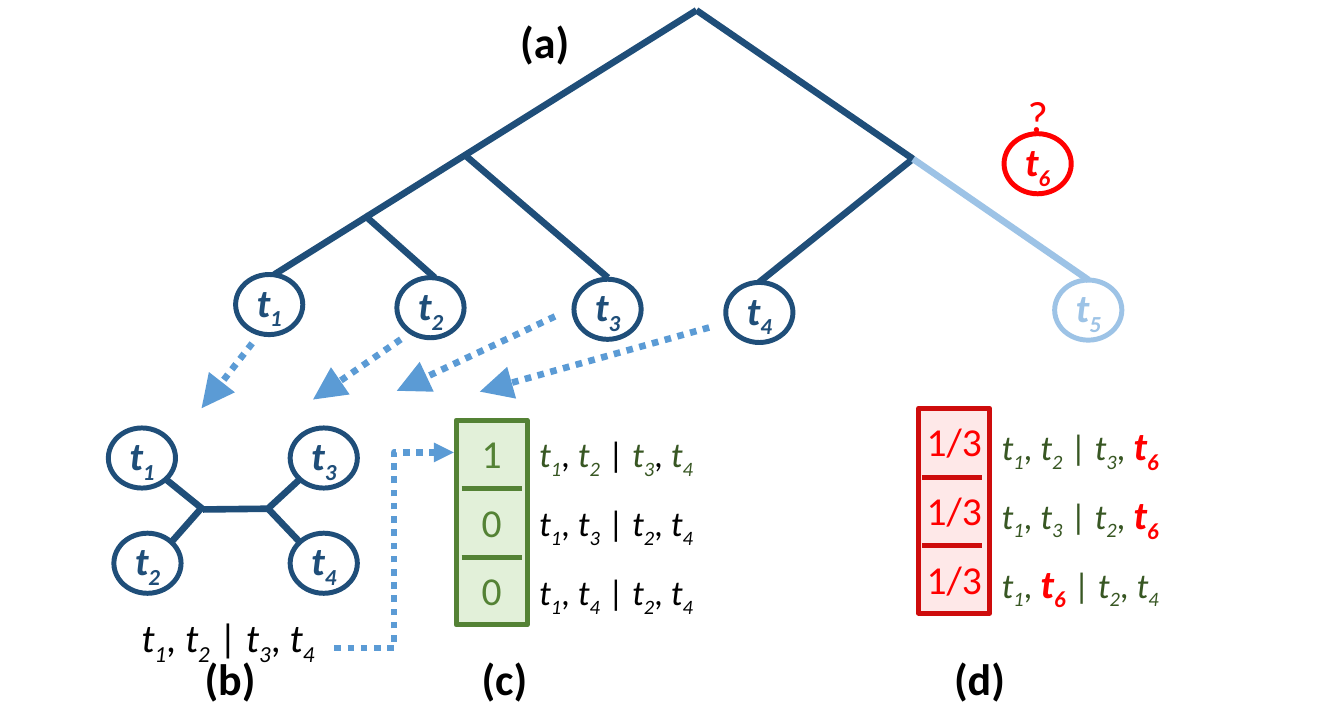
from itertools import groupby

from lxml.etree import SubElement
from pptx import Presentation
from pptx.dml.color import RGBColor
from pptx.enum.dml import MSO_LINE
from pptx.enum.shapes import MSO_CONNECTOR, MSO_SHAPE
from pptx.enum.text import MSO_ANCHOR, PP_ALIGN
from pptx.oxml.ns import qn
from pptx.util import Inches, Pt

COLUMNS, ROWS = 17, 9
CELL = Inches(1)
FONT = "Calibri"
COLORS = {
    "navy": "1F4E79", "pale": "9DC3E6", "blue": "5B9BD5", "black": "000000",
    "red": "FF0000", "crimson": "CE0C0C", "pink": "FEE8E8",
    "green": "548235", "mint": "E2F0D9", "forest": "385723",
}
LEAF_SIZE = (0.85, 0.76)
BAR_SIZE = (0.9, 2.59)
BAR_STEP = 0.87
TEXT_HEIGHT = 0.71
CAPTION_WIDTH = 1.2


def rgb(name):
    return RGBColor.from_string(COLORS[name])


def grid(*cells):
    return [round(cell * CELL) for cell in cells]


def shifted(box, point):
    return box[0] + point[0], box[1] + point[1]


def write(shape, text, size=36, color="black", bold=False, align=PP_ALIGN.LEFT,
          anchor=MSO_ANCHOR.TOP, separator=None, highlight=None):
    """Write text; each letter t becomes italic and the digit after it a subscript."""
    frame = shape.text_frame
    frame.word_wrap = False
    frame.vertical_anchor = anchor
    paragraph = frame.paragraphs[0]
    paragraph.alignment = align
    has_taxa = "t" in text

    def kind(character):
        if character == "t":
            return "name"
        return "index" if has_taxa and character.isdigit() else "plain"

    pieces = [(key, "".join(group)) for key, group in groupby(text, kind)]
    taxon = ""
    for position, (key, piece) in enumerate(pieces):
        if key == "name":
            taxon = piece + pieces[position + 1][1]
        marked = key != "plain" and taxon == highlight
        run = paragraph.add_run()
        run.text = piece
        font = run.font
        font.name = FONT
        font.size = Pt(36 if marked else size)
        font.bold = bold or marked
        font.italic = key != "plain"
        tone = separator if separator and key == "plain" else color
        font.color.rgb = rgb("red" if marked else tone)
        if key == "index":
            font._element.set("baseline", "-25000")


def add_label(slide, text, point, width, height=TEXT_HEIGHT, **text_format):
    box = slide.shapes.add_textbox(*grid(*point, width, height))
    write(box, text, **text_format)


def add_caption(slide, text, center, top):
    add_label(slide, text, (center - CAPTION_WIDTH / 2, top), CAPTION_WIDTH, 0.77,
              size=40, bold=True, align=PP_ALIGN.CENTER)


def add_outlined(slide, preset, point, size, color, fill=None):
    shape = slide.shapes.add_shape(preset, *grid(*point, *size))
    shape.shadow.inherit = False
    if fill:
        shape.fill.solid()
        shape.fill.fore_color.rgb = rgb(fill)
    else:
        shape.fill.background()
    shape.line.color.rgb = rgb(color)
    shape.line.width = Pt(4.5)
    return shape


def add_leaf(slide, text, point, color="navy"):
    leaf = add_outlined(slide, MSO_SHAPE.OVAL, point, LEAF_SIZE, color)
    write(leaf, text, color=color, bold=True, align=PP_ALIGN.CENTER,
          anchor=MSO_ANCHOR.MIDDLE)


def add_line(slide, start, end, color="navy", width=6, arrow_size=None,
             route=MSO_CONNECTOR.STRAIGHT):
    """Draw a line; with an arrow size ("med" or "lg") it is a dotted arrow."""
    connector = slide.shapes.add_connector(route, *grid(*start, *end))
    connector.line.color.rgb = rgb(color)
    connector.line.width = Pt(width)
    if arrow_size:
        connector.line.dash_style = MSO_LINE.ROUND_DOT
        SubElement(connector.line._get_or_add_ln(), qn("a:tailEnd"),
                   type="triangle", w=arrow_size, len=arrow_size)
    SubElement(connector._element.spPr, qn("a:effectLst"))


def add_tree(slide, box):
    root, fork = (5.83, 0), (8.57, 1.88)
    branches = [
        (root, (0.49, 3.34), "navy"), (root, fork, "navy"),
        ((1.63, 2.59), (2.52, 3.38), "navy"), ((2.9, 1.83), (4.71, 3.38), "navy"),
        ((8.59, 1.86), (6.62, 3.44), "navy"), (fork, (10.79, 3.41), "pale"),
    ]
    for start, end, color in branches:
        add_line(slide, shifted(box, start), shifted(box, end), color)
    leaves = [
        ("t1", (0, 3.34), "navy"), ("t2", (2.04, 3.38), "navy"),
        ("t3", (4.28, 3.4), "navy"), ("t4", (6.2, 3.44), "navy"),
        ("t5", (10.36, 3.41), "pale"), ("t6", (9.72, 1.56), "red"),
    ]
    for text, point, color in leaves:
        add_leaf(slide, text, shifted(box, point), color)
    add_label(slide, "?", shifted(box, (9.92, 0.94)), 0.46, 0.77, size=40, color="red")


def add_leaf_arrows(slide, box):
    arrows = [
        ((0.64, 0.34), (0, 1.16)), ((2.52, 0.29), (1.41, 1.05)),
        ((4.47, 0), (2.47, 0.94)), ((6.42, 0.14), (3.52, 0.95)),
    ]
    for start, end in arrows:
        add_line(slide, shifted(box, start), shifted(box, end), "blue", arrow_size="lg")


def add_quartet(slide, box):
    branches = [
        ((1.2, 1.03), (2.06, 1.02)),
        ((0.73, 0.65), (1.2, 1.03)), ((0.8, 1.44), (1.18, 1.01)),
        ((2.42, 0.65), (2.03, 1.01)), ((2.42, 1.44), (2.03, 1.03)),
    ]
    leaves = [("t1", (0, 0)), ("t2", (0.07, 1.33)), ("t3", (2.3, 0)), ("t4", (2.3, 1.33))]
    for text, point in leaves:
        add_leaf(slide, text, shifted(box, point))
    for start, end in branches:
        add_line(slide, shifted(box, start), shifted(box, end))
    add_label(slide, "t1, t2 | t3, t4", shifted(box, (0.32, 2.29)), 2.5)
    add_line(slide, shifted(box, (2.86, 2.78)), shifted(box, (4.37, 0.31)), "blue",
             arrow_size="med", route=MSO_CONNECTOR.ELBOW)


def add_scores(slide, box, rows, edge, fill, value_color, divider_left):
    """Draw a bar of stacked values with the split of each value beside it."""
    add_outlined(slide, MSO_SHAPE.RECTANGLE, box, BAR_SIZE, edge, fill)
    for index, (value, split, split_format) in enumerate(rows):
        top = index * BAR_STEP
        if index:
            add_line(slide, shifted(box, (divider_left, top)),
                     shifted(box, (divider_left + 0.76, top)), edge, 4.5)
        add_label(slide, value, shifted(box, (0, top + 0.06)), BAR_SIZE[0],
                  color=value_color, align=PP_ALIGN.CENTER)
        add_label(slide, split, shifted(box, (0.95, top + 0.11)), 2.28,
                  size=32, **split_format)


def main():
    presentation = Presentation()
    presentation.slide_width, presentation.slide_height = grid(COLUMNS, ROWS)
    slide = presentation.slides.add_slide(presentation.slide_layouts[6])

    add_tree(slide, (2.98, 0.13))
    add_quartet(slide, (1.37, 5.41))
    add_leaf_arrows(slide, (2.55, 4))

    known = {"color": "forest", "separator": "black"}
    unknown = {"color": "forest", "highlight": "t6"}
    add_scores(slide, (5.77, 5.31), [
        ("1", "t1, t2 | t3, t4", known),
        ("0", "t1, t3 | t2, t4", {}),
        ("0", "t1, t4 | t2, t4", {}),
    ], "green", "mint", "green", 0.07)
    add_scores(slide, (11.62, 5.16), [
        ("1/3", "t1, t2 | t3, t6", unknown),
        ("1/3", "t1, t3 | t2, t6", unknown),
        ("1/3", "t1, t6 | t2, t4", unknown),
    ], "crimson", "pink", "red", 0.04)

    captions = [("(a)", 6.89, 0.13), ("(b)", 2.91, 8.19),
                ("(c)", 6.38, 8.19), ("(d)", 12.39, 8.19)]
    for text, center, top in captions:
        add_caption(slide, text, center, top)

    presentation.save("out.pptx")


if __name__ == "__main__":
    main()
